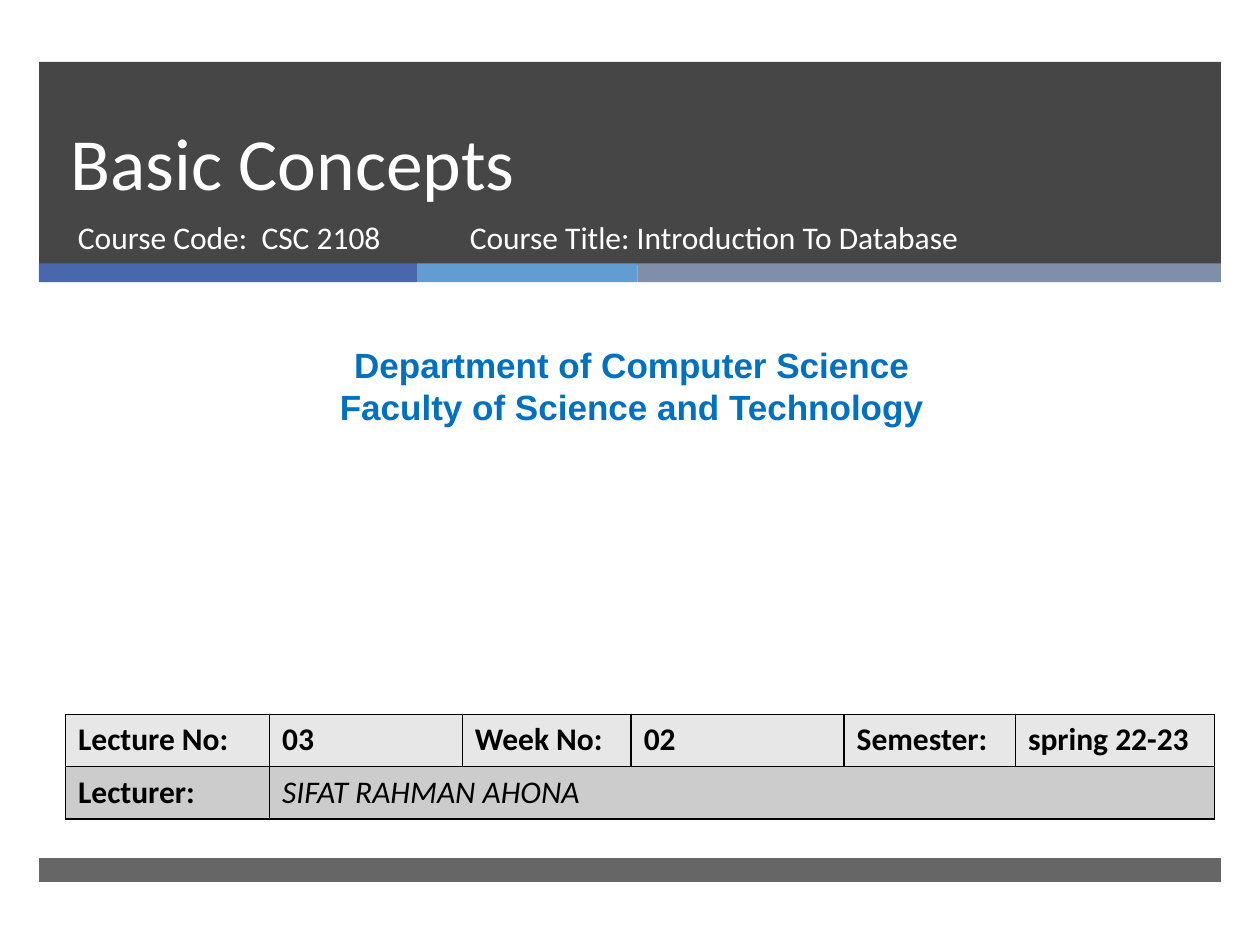
from itertools import accumulate
from lxml import etree
from pptx import Presentation, util as u
from pptx.dml.color import RGBColor
from pptx.enum import shapes, text
from pptx.oxml.ns import qn

COLS, ROWS = 100, 75
WHITE, BLACK, DARK, BLUE = "FFFFFF", "000000", "262626", "0070C0"


def paint(fill, hue, alpha=None):
    """Fill with a hex colour; alpha is the opacity in percent."""
    fill.solid()
    fill.fore_color.rgb = RGBColor.from_string(hue)
    if alpha is not None:
        tone = fill._xPr.find(qn("a:solidFill"))[0]
        etree.SubElement(tone, qn("a:alpha"), val=str(alpha * 1000))


def write(frame, words, size=18, hue=WHITE, font="Calibri", bold=False,
          slant=False, align=text.PP_ALIGN.LEFT, space=None):
    """Put each line of words in its own paragraph."""
    frame.text = words
    for par in frame.paragraphs:
        par.alignment = align
        if space:
            par.line_spacing = u.Pt(space)
        for run in par.runs:
            face = run.font
            face.name, face.size = font, u.Pt(size)
            face.bold, face.italic = bold, slant
            face.color.rgb = RGBColor.from_string(hue)


def edge(cell, hue=BLACK, width=1):
    """Draw all four borders of a table cell."""
    props = cell._tc.get_or_add_tcPr()
    for spot, side in enumerate(("lnL", "lnR", "lnT", "lnB")):
        line = etree.Element(qn("a:" + side), w=str(u.Pt(width)))
        solid = etree.SubElement(line, qn("a:solidFill"))
        etree.SubElement(solid, qn("a:srgbClr"), val=hue)
        props.insert(spot, line)


class Deck:
    """Holds the file, the current slide and its grid of cells."""

    def __init__(self, wide=10, high=7.5):
        self.file = Presentation()
        self.file.slide_width = u.Inches(wide)
        self.file.slide_height = u.Inches(high)
        self.slide = self.file.slides.add_slide(self.file.slide_layouts[6])

    def across(self, cols):
        return round(self.file.slide_width * cols / COLS)

    def down(self, rows):
        return round(self.file.slide_height * rows / ROWS)

    def place(self, x, y, w, h):
        return self.across(x), self.down(y), self.across(w), self.down(h)

    def bar(self, x, y, w, h, hue, alpha=None):
        kind = shapes.MSO_SHAPE.RECTANGLE
        box = self.slide.shapes.add_shape(kind, *self.place(x, y, w, h))
        box.shadow.inherit = False
        box.line.fill.background()
        paint(box.fill, hue, alpha)

    def label(self, x, y, w, h, words, anchor=text.MSO_ANCHOR.TOP, **style):
        box = self.slide.shapes.add_textbox(*self.place(x, y, w, h))
        frame = box.text_frame
        frame.word_wrap = True
        frame.vertical_anchor = anchor
        write(frame, words, **style)

    def table(self, x, y, widths, high, rows, hues):
        """Short rows have their last cell merged to the right edge."""
        area = self.place(x, y, sum(widths), high * len(rows))
        grid = self.slide.shapes.add_table(len(rows), len(widths), *area).table
        for col, wide in zip(grid.columns, widths):
            col.width = self.across(wide)
        for r, (row, hue) in enumerate(zip(rows, hues)):
            grid.rows[r].height = self.down(high)
            for c in range(len(widths)):
                cell = grid.cell(r, c)
                paint(cell.fill, hue)
                edge(cell)
            for c, (words, style) in enumerate(row):
                write(grid.cell(r, c).text_frame, words, hue=BLACK, **style)
            if len(row) < len(widths):
                last = grid.cell(r, len(widths) - 1)
                grid.cell(r, len(row) - 1).merge(last)


def main():
    deck = Deck()
    left, wide = 3.1, 93.8
    deck.bar(left, 4.9, wide, 16.1, DARK, 85)
    parts = (30, 17.5, 46.3)
    starts = accumulate(parts, initial=left)
    for x, part, hue in zip(starts, parts, ("4A66AC", "629DD1", "7F8FA9")):
        deck.bar(x, 20.9, part, 1.5, hue)
    deck.bar(left, 68.1, wide, 1.9, DARK, 70)

    deck.label(4.6, 4.9, 85.4, 11.9, "Basic Concepts",
               anchor=text.MSO_ANCHOR.BOTTOM, size=42, space=46)
    deck.label(5.2, 16.8, 30.5, 5.3, "Course Code:  CSC 2108")
    deck.label(36.3, 16.8, 45.5, 5.3, "Course Title: Introduction To Database")
    deck.label(0.8, 26.8, 98.7, 7.7,
               "Department of Computer Science\nFaculty of Science and Technology",
               size=20, hue=BLUE, font="Arial", bold=True,
               align=text.PP_ALIGN.CENTER)

    bold, slant = {"bold": True}, {"slant": True}
    heads = ("Lecture No:", "03", "Week No:", "02", "Semester:", "spring 22-23")
    rows = ([(head, bold) for head in heads],
            [("Lecturer:", bold), ("SIFAT RAHMAN AHONA", slant)])
    deck.table(5.2, 56.7, (16.2, 15.3, 13.4, 16.9, 13.6, 15.8), 4.15,
               rows, ("E7E7E7", "CCCCCC"))
    deck.file.save("out.pptx")


if __name__ == "__main__":
    main()
